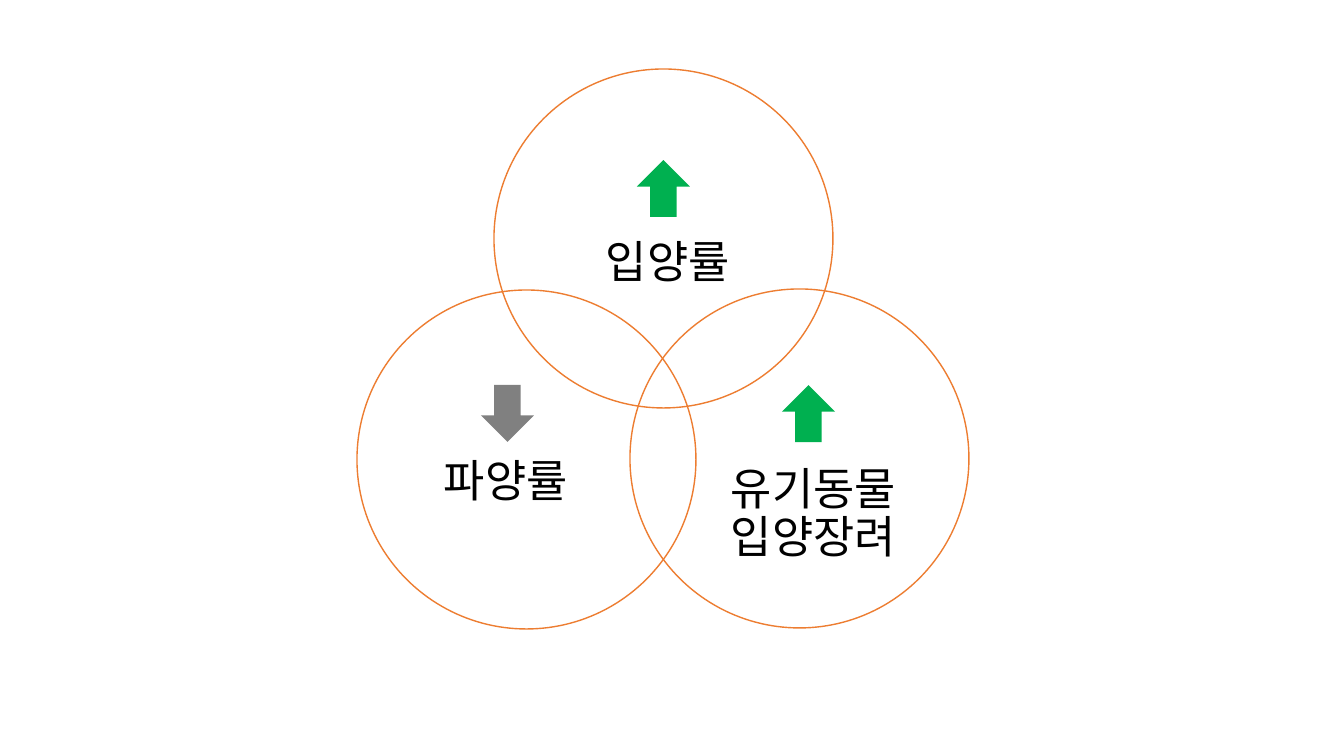
from lxml.etree import SubElement
from pptx import Presentation
from pptx.dml.color import RGBColor
from pptx.enum.shapes import MSO_SHAPE
from pptx.enum.text import MSO_ANCHOR, PP_ALIGN
from pptx.oxml.ns import qn
from pptx.util import Pt

EMU_PER_PX = 914400 / 100.8
FONT = "Noto Sans CJK KR"
BLACK = RGBColor(0x00, 0x00, 0x00)
ORANGE = RGBColor(0xED, 0x7D, 0x31)
GREEN = RGBColor(0x00, 0xB0, 0x50)
GRAY = RGBColor(0x80, 0x80, 0x80)
CIRCLE_SIZE = 339
ARROW_WIDTH, ARROW_HEIGHT = 53, 57


def px(*lengths):
    return [round(n * EMU_PER_PX) for n in lengths]


def add_circle(s, left, top):
    sp = s.shapes.add_shape(MSO_SHAPE.OVAL, *px(left, top, CIRCLE_SIZE, CIRCLE_SIZE))
    sp.shadow.inherit = False
    sp.fill.background()
    sp.line.color.rgb = ORANGE
    sp.line.width = Pt(1)


def add_arrow(s, left, top, color, rotation):
    sp = s.shapes.add_shape(MSO_SHAPE.DOWN_ARROW, *px(left, top, ARROW_WIDTH, ARROW_HEIGHT))
    sp.shadow.inherit = False
    sp.rotation = rotation
    sp.fill.solid()
    sp.fill.fore_color.rgb = color
    sp.line.fill.background()


def add_label(s, box, lines):
    tf = s.shapes.add_textbox(*px(*box)).text_frame
    tf.word_wrap = True
    tf.vertical_anchor = MSO_ANCHOR.MIDDLE
    for i, line in enumerate(lines):
        p = tf.add_paragraph() if i else tf.paragraphs[0]
        p.alignment = PP_ALIGN.LEFT
        p.line_spacing = 0.9
        r = p.add_run()
        r.text = line
        r.font.size = Pt(32)
        r.font.color.rgb = BLACK
        r.font.name = FONT
        SubElement(r.font._element, qn("a:ea"), typeface=FONT)


def main():
    prs = Presentation()
    prs.slide_width, prs.slide_height = px(1344, 756)
    s = prs.slides.add_slide(prs.slide_layouts[6])

    add_label(s, (596, 224, 223, 79), ["입양률"])
    add_label(s, (721, 443, 196, 144), ["유기동물", "입양장려"])
    add_label(s, (434, 443, 169, 79), ["파양률"])

    for left, top in ((494, 69), (357, 290), (630, 289)):
        add_circle(s, left, top)

    add_arrow(s, 481, 385, GRAY, 0)
    add_arrow(s, 637, 160, GREEN, 180)
    add_arrow(s, 782, 385, GREEN, 180)

    prs.save("out.pptx")


if __name__ == "__main__":
    main()
